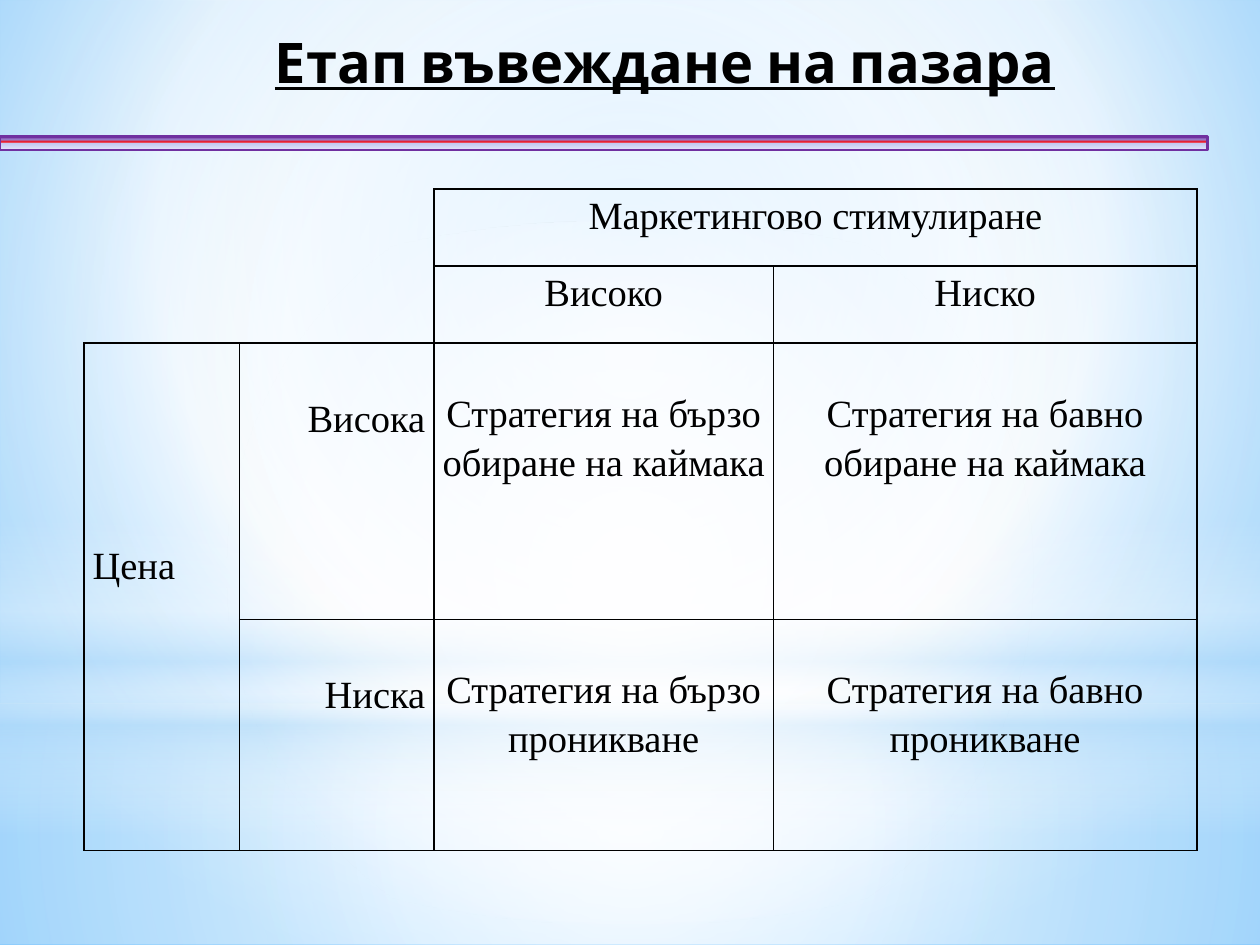
from lxml import etree
from pptx import Presentation
from pptx.enum import shapes, text
from pptx.oxml import ns
from pptx.util import Pt

COLORS = {
    "ink": "000000", "white": "FFFFFF", "pale": "B4DCFA",
    "sky": "9ED5FF", "blue": "5BB9FF", "purple": "7030A0",
    "violet": "987CC9", "red": "FF0000", "lilac": "C1C7F2", "mist": "E1E3F8",
}
CENTER = (50, 50, 50, 50)
ALIGN = text.PP_ALIGN


def add_node(parent, tag, **attributes):
    values = {key: str(value) for key, value in attributes.items()}
    return etree.SubElement(parent, ns.qn(tag), values)


class SlideStyle:
    title_font = "Cabin"
    table_font = "Times New Roman"
    table_size = 22
    line_spacing = 1.15

    def __init__(self, deck):
        self.page = deck.slides.add_slide(deck.slide_layouts[6])

    def color(self, name):
        return RGB.from_string(COLORS[name])

    def gradient(self, parent, stops, angle=None, focus=CENTER):
        solid = parent.find(ns.qn("a:solidFill"))
        fill = etree.Element(ns.qn("a:gradFill"), rotWithShape="1")
        stop_list = add_node(fill, "a:gsLst")
        for position, name, opacity in stops:
            stop = add_node(stop_list, "a:gs", pos=position * 1000)
            color = add_node(stop, "a:srgbClr", val=COLORS[name])
            if opacity < 100:
                add_node(color, "a:alpha", val=opacity * 1000)
        if angle is None:
            radial = add_node(fill, "a:path", path="circle")
            edges = {side: value * 1000 for side, value in zip("ltrb", focus)}
            add_node(radial, "a:fillToRect", **edges)
        else:
            add_node(fill, "a:lin", ang=angle * 60000, scaled=0)
        parent.replace(solid, fill)

    def background(self, stops, focus):
        fill = self.page.background.fill
        fill.solid()
        fill.fore_color.rgb = self.color("white")
        self.gradient(self.page.element.find(".//" + ns.qn("p:bgPr")), stops, focus=focus)

    def shape(self, kind, frame, stops, angle=None, line=None):
        shape = self.page.shapes.add_shape(kind, *map(Pt, frame))
        shape.shadow.inherit = False
        shape.fill.solid()
        shape.fill.fore_color.rgb = self.color("white")
        self.gradient(shape.element.spPr, stops, angle)
        if line:
            shape.line.color.rgb = self.color(line)
            shape.line.width = Pt(1.25)
        else:
            shape.line.fill.background()

    def span(self, para, words, font, size):
        span = para.add_run()
        span.text = words
        span.font.name = font
        span.font.size = Pt(size)
        span.font.color.rgb = self.color("ink")
        return span

    def title(self, words, frame):
        box = self.page.shapes.add_textbox(*map(Pt, frame))
        box.text_frame.word_wrap = True
        box.text_frame.auto_size = text.MSO_AUTO_SIZE.SHAPE_TO_FIT_TEXT
        para = box.text_frame.paragraphs[0]
        para.alignment = ALIGN.CENTER
        span = self.span(para, words, self.title_font, 32)
        span.font.bold = True
        span.font.underline = True

    def borders(self, cell, sides):
        properties = cell._tc.get_or_add_tcPr()
        for index, side in enumerate("LRTB"):
            border = etree.Element(ns.qn("a:ln" + side), w=str(Pt(1)))
            if side in sides:
                fill = add_node(border, "a:solidFill")
                add_node(fill, "a:srgbClr", val=COLORS["ink"])
            else:
                add_node(border, "a:noFill")
            properties.insert(index, border)

    def table(self, origin, widths, heights, open_cells):
        frame = (*origin, sum(widths), sum(heights))
        table = self.page.shapes.add_table(len(heights), len(widths), *map(Pt, frame)).table
        table.first_row = False
        table.horz_banding = False
        for column, width in zip(table.columns, widths):
            column.width = Pt(width)
        for row, height in zip(table.rows, heights):
            row.height = Pt(height)
        for row in range(len(heights)):
            for column in range(len(widths)):
                cell = table.cell(row, column)
                cell.fill.background()
                self.borders(cell, open_cells.get((row, column), "LRTB"))
        return table

    def cell(self, cell, words, align=ALIGN.CENTER, top=0):
        cell.margin_left = cell.margin_right = Pt(5)
        cell.margin_top = Pt(top)
        cell.margin_bottom = 0
        para = cell.text_frame.paragraphs[0]
        para.alignment = align
        para.line_spacing = self.line_spacing
        self.span(para, words, self.table_font, self.table_size)


from pptx.dml.color import RGBColor as RGB


def main():
    deck = Presentation()
    deck.slide_width, deck.slide_height = Pt(720), Pt(540)
    style = SlideStyle(deck)
    rectangle, oval = shapes.MSO_SHAPE.RECTANGLE, shapes.MSO_SHAPE.OVAL

    style.background([(0, "sky", 100), (60, "white", 100), (100, "blue", 100)], (20, 10, 20, 60))
    style.shape(rectangle, (0, 402, 720, 138),
                [(0, "white", 91), (37, "white", 76), (100, "pale", 79)])
    style.shape(rectangle, (0, 0, 720, 402),
                [(0, "white", 89), (48, "white", 62), (100, "pale", 79)])
    style.shape(rectangle, (0, 297, 720, 180),
                [(0, "white", 0), (29, "white", 30), (45, "pale", 40),
                 (55, "white", 26), (65, "pale", 60), (100, "white", 0)], angle=90)
    style.shape(oval, (0, 126, 720, 402), [(0, "white", 100), (56, "white", 0)])
    style.shape(rectangle, (0, 78, 690, 7.5),
                [(0, "purple", 100), (25, "violet", 100), (43, "red", 100),
                 (50, "lilac", 100), (100, "mist", 100)], angle=90, line="purple")
    style.title("Етап въвеждане на пазара", (54, 12, 652, 46))

    open_cells = {(0, 0): "", (0, 1): "R", (1, 0): "B", (1, 1): "RB",
                  (2, 0): "LTR", (3, 0): "LRB"}
    table = style.table((48, 108), (89, 111, 194, 242), (44, 44, 158, 132), open_cells)
    table.cell(0, 2).merge(table.cell(0, 3))
    style.cell(table.cell(0, 2), "Маркетингово стимулиране")
    for column, level in enumerate(("Високо", "Ниско"), 2):
        style.cell(table.cell(1, column), level)
    style.cell(table.cell(2, 0), "Цена", ALIGN.LEFT, 112)
    strategies = (("Висока", "обиране на каймака"), ("Ниска", "проникване"))
    for row, (price, action) in enumerate(strategies, 2):
        style.cell(table.cell(row, 1), price, ALIGN.RIGHT, 28)
        for column, pace in enumerate(("бързо", "бавно"), 2):
            style.cell(table.cell(row, column), f"Стратегия на {pace} {action}", top=25)

    deck.save("out.pptx")


if __name__ == "__main__":
    main()
